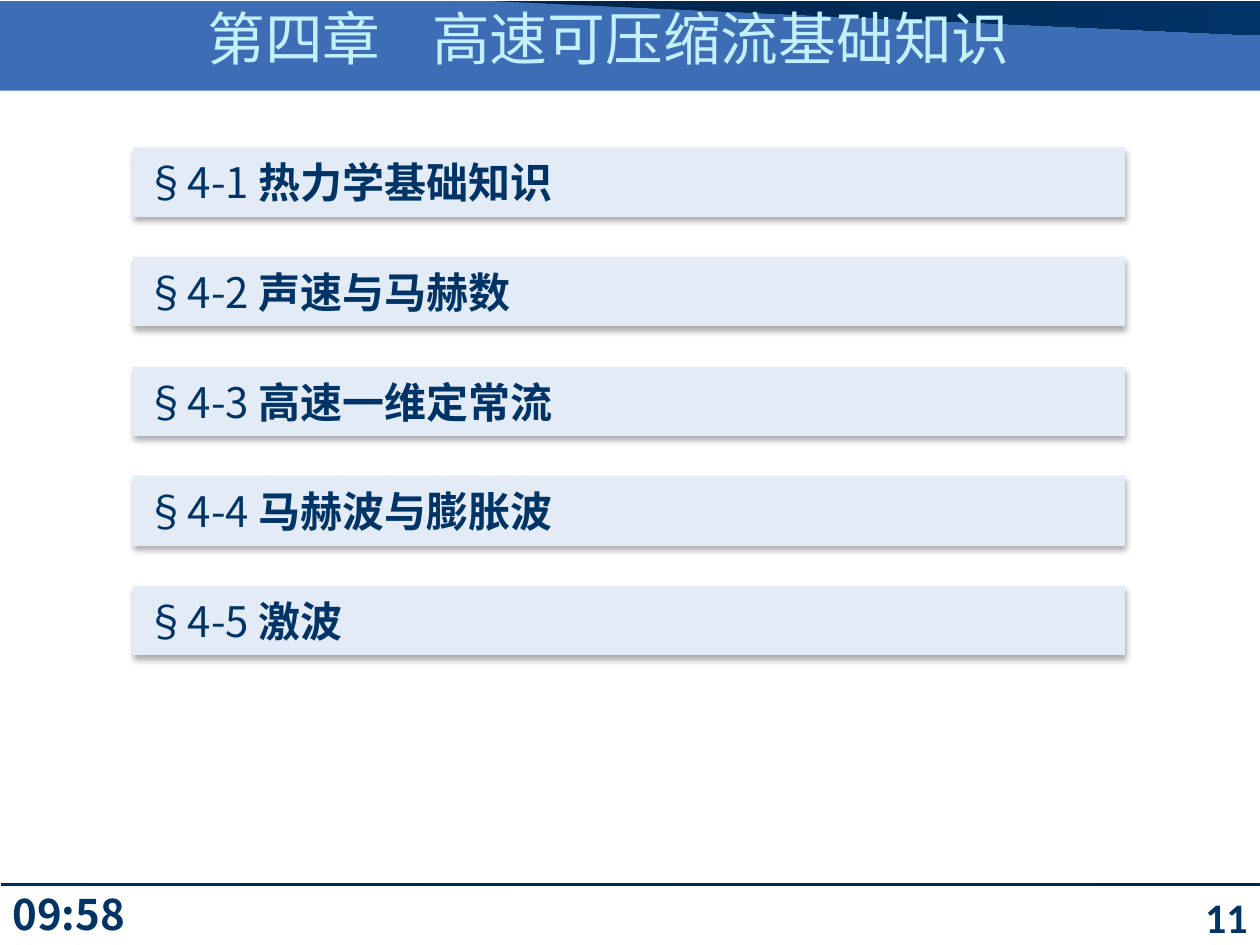
"""Build the contents page of chapter four on high-speed compressible flow."""
from dataclasses import dataclass

import lxml.etree
import pptx
import pptx.dml.color
import pptx.enum.shapes
import pptx.enum.text
import pptx.oxml
import pptx.oxml.ns
import pptx.util

Inches = pptx.util.Inches
Align = pptx.enum.text.PP_ALIGN
Anchor = pptx.enum.text.MSO_ANCHOR
Shape = pptx.enum.shapes.MSO_SHAPE


@dataclass(frozen=True)
class Theme:
    """Colours, fonts and type sizes."""
    navy: str = "003366"
    dark: str = "002449"
    rule: str = "00264D"
    band: str = "3D6EB5"
    panel: str = "E3EBF6"
    title: str = "C2F0FF"
    title_size: int = 33
    body_size: int = 24
    title_font: str = "Noto Sans CJK JP"
    body_font: str = "Noto Sans CJK SC"
    topic_font: str = "Times New Roman"
    number_font: str = "Calibri"


@dataclass(frozen=True)
class Area:
    """A rectangle in inches."""
    left: float
    top: float
    width: float
    height: float

    def lengths(self) -> tuple:
        """Return left, top, width and height as lengths."""
        return tuple(map(Inches, (self.left, self.top, self.width, self.height)))


@dataclass(frozen=True)
class Section:
    """A numbered section of the chapter."""
    number: str
    topic: str


THEME = Theme()
SECTIONS = (
    Section("§4-1 ", "热力学基础知识"),
    Section("§4-2 ", "声速与马赫数"),
    Section("§4-3 ", "高速一维定常流"),
    Section("§4-4 ", "马赫波与膨胀波"),
    Section("§4-5 ", "激波"),
)
FIRST_BAR = Area(1.06, 1.17, 7.87, 0.55)
BAR_PITCH = 0.87


def rgb(code: str) -> pptx.dml.color.RGBColor:
    """Turn a hex code into a colour."""
    return pptx.dml.color.RGBColor.from_string(code)


def format_span(span, font: str, size: int, color: str, bold: bool = False) -> None:
    """Set the type of one run, with an East Asian face."""
    span.font.name = font
    span.font.size = pptx.util.Pt(size)
    span.font.bold = bold
    span.font.color.rgb = rgb(color)
    properties = span.font._element if hasattr(span.font, "_element") else span._r.get_or_add_rPr()
    properties.set("lang", "zh-CN")
    face = lxml.etree.Element(pptx.oxml.ns.qn("a:ea"), typeface=THEME.body_font)
    properties.find(pptx.oxml.ns.qn("a:latin")).addnext(face)


def fill_gradient(shape, start: str, end: str) -> None:
    """Fill a shape with a left-to-right gradient."""
    shape.fill.gradient()
    shape.fill.gradient_angle = 0
    for stop, color in zip(shape.fill.gradient_stops, (start, end)):
        stop.color.rgb = rgb(color)


def add_panel(page, area: Area, color: str, kind=Shape.RECTANGLE):
    """Add a plain filled shape without outline or shadow."""
    panel = page.shapes.add_shape(kind, *area.lengths())
    panel.shadow.inherit = False
    panel.fill.solid()
    panel.fill.fore_color.rgb = rgb(color)
    panel.line.fill.background()
    return panel


def add_background(page) -> None:
    """Draw the title band, its dark wedge and the footer rule."""
    add_panel(page, Area(0, 0.01, 10, 0.71), THEME.band)
    builder = page.shapes.build_freeform(Inches(3.93), Inches(0.01))
    corners = [(10, 0.28), (10, 0.01)]
    builder.add_line_segments([(Inches(x), Inches(y)) for x, y in corners], close=True)
    wedge = builder.convert_to_shape()
    wedge.shadow.inherit = False
    wedge.line.fill.background()
    fill_gradient(wedge, THEME.dark, THEME.navy)
    rule = add_panel(page, Area(0.01, 7.01, 9.99, 0.02), THEME.navy)
    fill_gradient(rule, THEME.navy, THEME.dark)
    rule.line.color.rgb = rgb(THEME.rule)
    rule.line.width = pptx.util.Pt(0.75)


def add_title(page, text: str) -> None:
    """Place the title in front of the band."""
    title = page.shapes.title
    title.left, title.top, title.width, title.height = Area(0.58, -0.08, 8.5, 0.75).lengths()
    frame = title.text_frame
    frame.text = text
    frame.auto_size = pptx.enum.text.MSO_AUTO_SIZE.NONE
    frame.vertical_anchor = Anchor.MIDDLE
    para = frame.paragraphs[0]
    para.alignment = Align.CENTER
    format_span(para.runs[0], THEME.title_font, THEME.title_size, THEME.title)
    title.element.getparent().append(title.element)


def add_footer(page, area: Area, text: str, font: str, align: Align, anchor: Anchor) -> None:
    """Add a bold footer text."""
    box = page.shapes.add_textbox(*area.lengths())
    frame = box.text_frame
    frame.word_wrap = True
    frame.vertical_anchor = anchor
    frame.text = text
    para = frame.paragraphs[0]
    para.alignment = align
    format_span(para.runs[0], font, THEME.body_size, THEME.navy, True)


def add_soft_shadow(shape) -> None:
    """Give a shape a soft shadow below it."""
    effects = shape.element.spPr.find(pptx.oxml.ns.qn("a:effectLst"))
    effects.append(pptx.oxml.parse_xml(
        f'<a:outerShdw {pptx.oxml.ns.nsdecls("a")} blurRad="{pptx.util.Pt(3.5)}" '
        f'dist="{pptx.util.Pt(2.2)}" dir="5400000" rotWithShape="0">'
        '<a:srgbClr val="000000"><a:alpha val="32000"/></a:srgbClr></a:outerShdw>'))


def add_section(page, section: Section, area: Area) -> None:
    """Add one section bar."""
    bar = add_panel(page, area, THEME.panel, Shape.ACTION_BUTTON_CUSTOM)
    add_soft_shadow(bar)
    frame = bar.text_frame
    frame.word_wrap = False
    frame.vertical_anchor = Anchor.MIDDLE
    para = frame.paragraphs[0]
    para.text = section.number
    para.alignment = Align.LEFT
    para.add_run().text = section.topic
    number, topic = para.runs
    format_span(number, THEME.body_font, THEME.body_size, THEME.navy)
    format_span(topic, THEME.topic_font, THEME.body_size, THEME.navy, True)


def main() -> None:
    """Build and save the deck."""
    deck = pptx.Presentation()
    deck.slide_width, deck.slide_height = Inches(10), Inches(7.5)
    page = deck.slides.add_slide(deck.slide_layouts.get_by_name("Title Only"))
    add_background(page)
    add_footer(page, Area(0, 7, 1.34, 0.5), "09:58", THEME.body_font, Align.LEFT, Anchor.TOP)
    add_footer(page, Area(9.06, 7, 0.94, 0.55), "11", THEME.number_font, Align.RIGHT, Anchor.MIDDLE)
    add_title(page, "第四章    高速可压缩流基础知识")
    for index, section in enumerate(SECTIONS):
        top = FIRST_BAR.top + index * BAR_PITCH
        add_section(page, section, Area(FIRST_BAR.left, top, FIRST_BAR.width, FIRST_BAR.height))
    deck.save("out.pptx")


if __name__ == "__main__":
    main()
